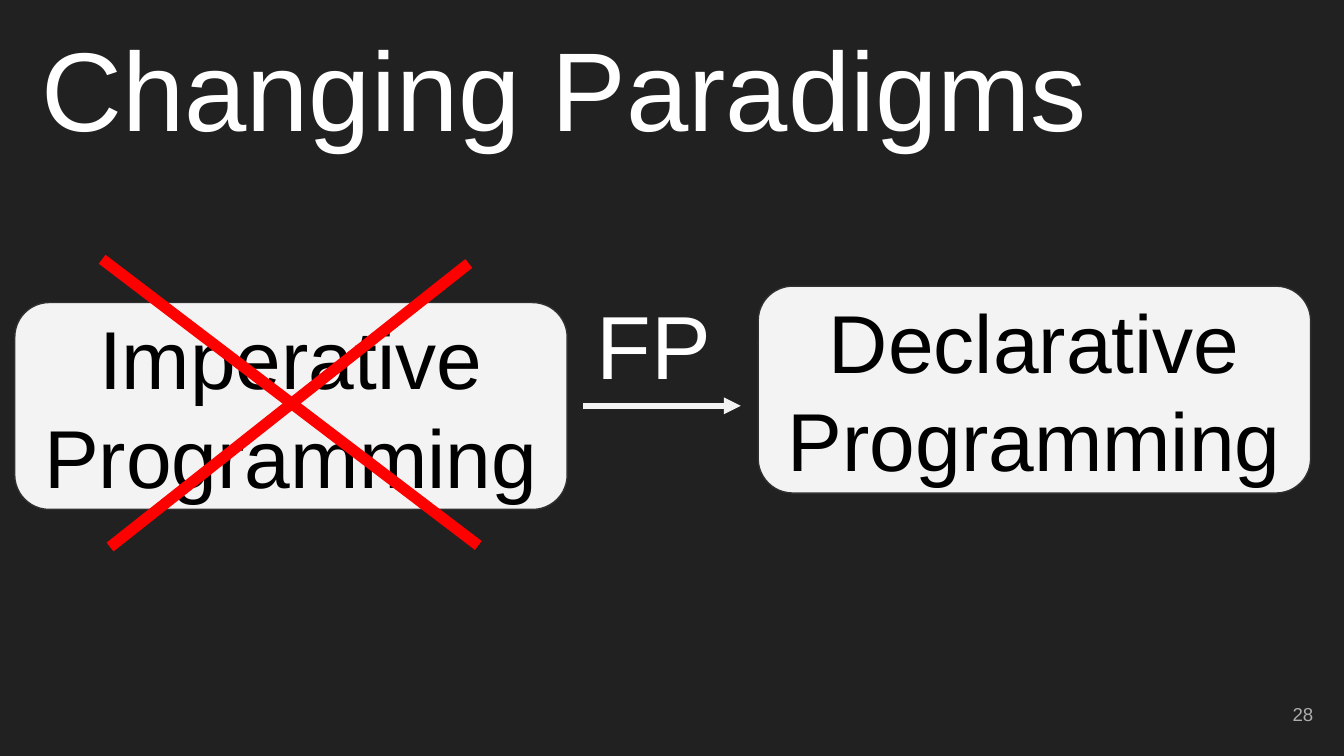
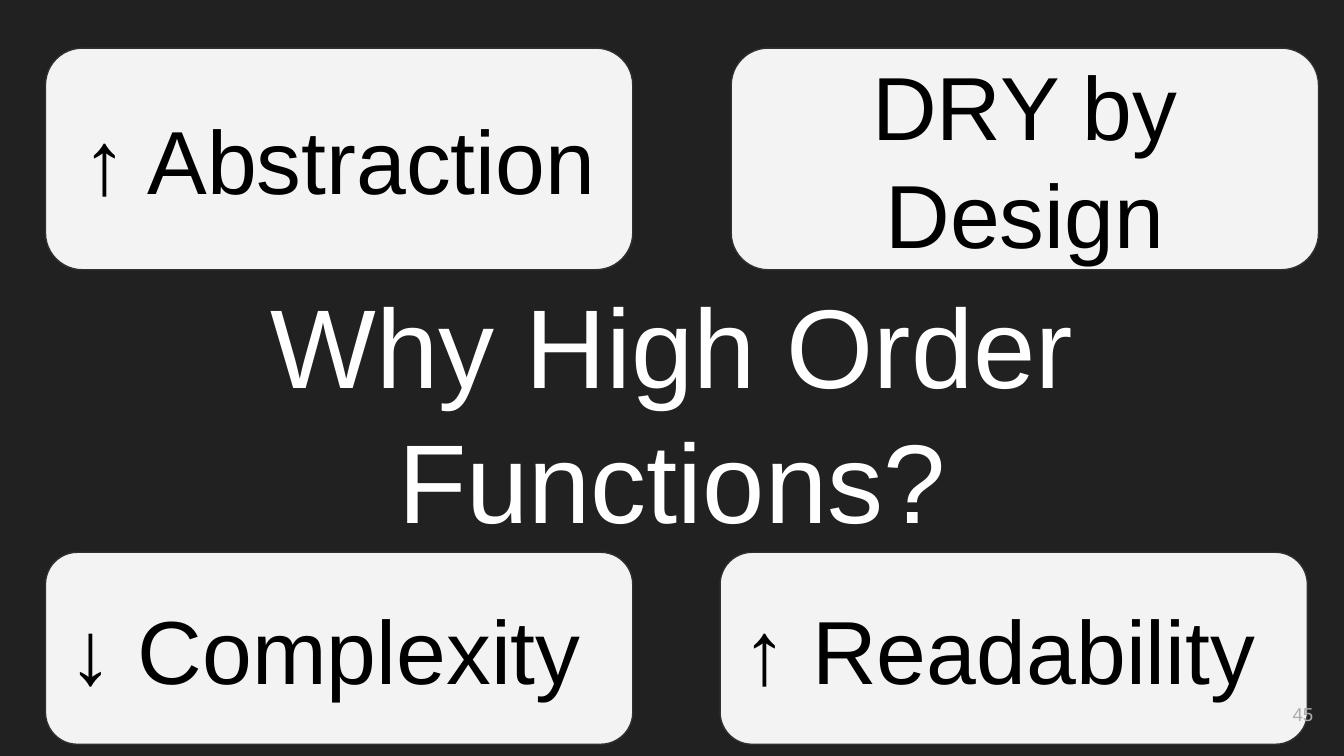
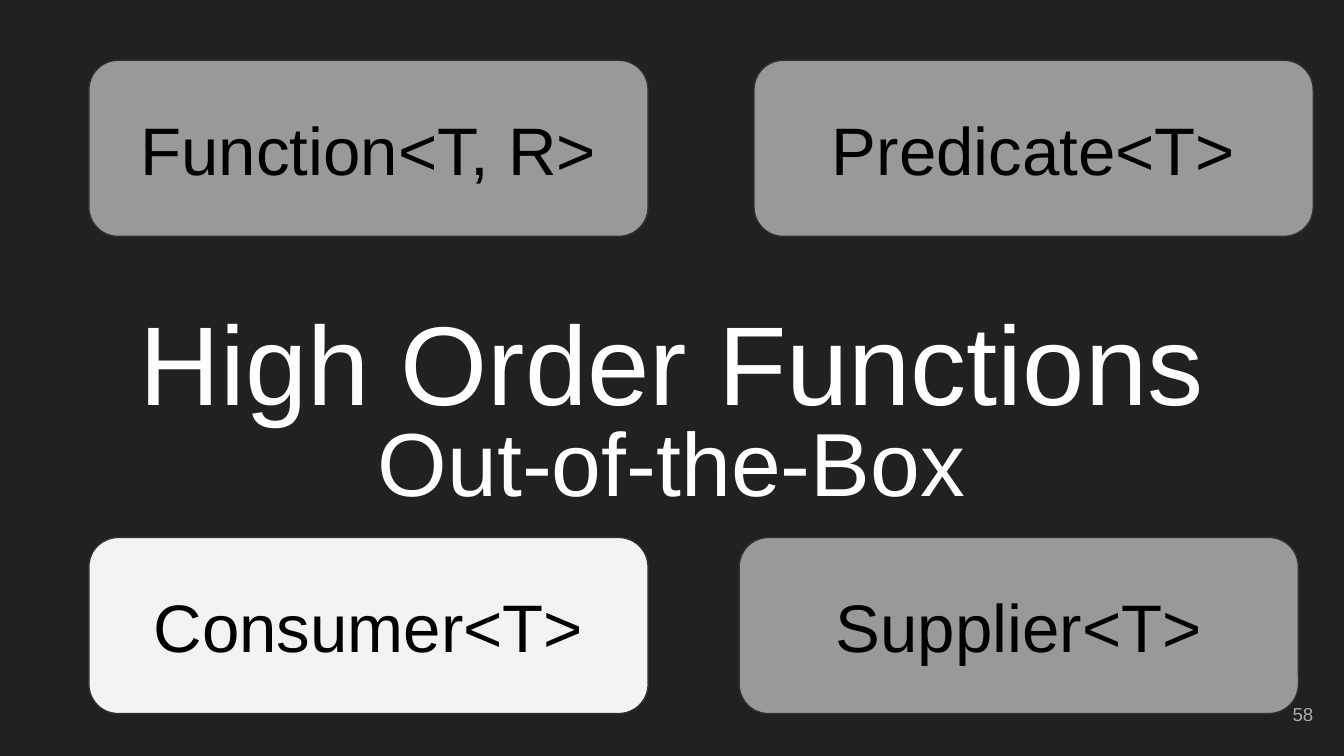
"""Build three dark slides on functional programming."""
from dataclasses import dataclass

from lxml import etree
from pptx import Presentation
from pptx.dml.color import RGBColor
from pptx.enum import shapes, text
from pptx.oxml import ns
from pptx.util import Cm, Pt

MID = text.PP_ALIGN.CENTER
LEFT = text.PP_ALIGN.LEFT
RIGHT = text.PP_ALIGN.RIGHT


@dataclass(frozen=True)
class Theme:
    """Hold the shared colours, font and type sizes."""
    font: str = "Arial"
    back: RGBColor = RGBColor(0x21, 0x21, 0x21)
    white: RGBColor = RGBColor(0xFF, 0xFF, 0xFF)
    black: RGBColor = RGBColor(0, 0, 0)
    light: RGBColor = RGBColor(0xF3, 0xF3, 0xF3)
    dim: RGBColor = RGBColor(0x99, 0x99, 0x99)
    edge: RGBColor = RGBColor(0x30, 0x30, 0x30)
    red: RGBColor = RGBColor(0xFF, 0, 0)
    grey: RGBColor = RGBColor(0xAD, 0xAD, 0xAD)
    head: int = 60
    big: int = 48
    pair: int = 44
    type: int = 36
    foot: int = 10


T = Theme()


def write(shape, words, size, color, align=MID):
    """Put one styled paragraph in a shape, centred in height."""
    frame = shape.text_frame
    frame.text = words
    frame.word_wrap = True
    frame.auto_size = text.MSO_AUTO_SIZE.NONE
    frame.vertical_anchor = text.MSO_ANCHOR.MIDDLE
    frame.margin_left = frame.margin_right = Cm(0.25)
    frame.margin_top = frame.margin_bottom = Cm(0.25)
    para = frame.paragraphs[0]
    para.alignment = align
    para.space_before = Pt(0)
    para.font.name = T.font
    para.font.size = Pt(size)
    para.font.color.rgb = color


def place(shape, x, y, w, h):
    """Move and size a placeholder, in centimetres."""
    shape.left, shape.top, shape.width, shape.height = map(Cm, (x, y, w, h))


def title(slide, words, x, y, w=23.67, align=MID):
    """Fill the title placeholder."""
    place(slide.shapes.title, x, y, w, 2.34)
    write(slide.shapes.title, words, T.head, T.white, align)


def label(slide, words, spot, size, color, align=MID):
    """Add a text box."""
    box = slide.shapes.add_textbox(*map(Cm, spot))
    write(box, words, size, color, align)


def card(slide, words, spot, size, fill=T.light, align=MID):
    """Add a rounded card."""
    kind = shapes.MSO_SHAPE.ROUNDED_RECTANGLE
    box = slide.shapes.add_shape(kind, *map(Cm, spot))
    box.shadow.inherit = False
    box.fill.solid()
    box.fill.fore_color.rgb = fill
    box.line.color.rgb = T.edge
    box.line.width = Pt(0.75)
    write(box, words, size, T.black, align)


def line(slide, ends, color, width, arrow=False):
    """Add a straight line, with an arrowhead if asked."""
    kind = shapes.MSO_CONNECTOR.STRAIGHT
    link = slide.shapes.add_connector(kind, *map(Cm, ends))
    link.line.color.rgb = color
    link.line.width = Pt(width)
    if arrow:
        tip = etree.SubElement(link.line._get_or_add_ln(), ns.qn("a:tailEnd"))
        tip.set("type", "triangle")
    etree.SubElement(link._element.spPr, ns.qn("a:effectLst"))


def number(slide, page):
    """Add the page number."""
    label(slide, str(page), (23.55, 12.95, 1.52, 1.09), T.foot, T.grey, RIGHT)


def shift(slide):
    """Show the change of paradigm."""
    title(slide, "Changing Paradigms", 0.53, 0.46, align=LEFT)
    label(slide, "FP", (8.2, 3.68, 8.33, 5.64), T.big, T.white)
    card(slide, "Imperative Programming", (0.28, 5.72, 10.44, 3.91), T.pair)
    line(slide, (11.02, 7.67, 14, 7.67), T.light, 3, arrow=True)
    for ends in ((1.93, 4.9, 9.04, 10.31), (2.08, 10.34, 8.86, 4.98)):
        line(slide, ends, T.red, 6)
    card(slide, "Declarative Programming", (14.33, 5.41, 10.44, 3.91), T.pair)
    number(slide, 28)


def why(slide):
    """Show the reasons around the question."""
    title(slide, "Why High Order Functions?", 0, 6.6, 25.4)
    rows = (
        (0.91, 4.19, MID, ((0.86, "↑ Abstraction"), (13.82, "DRY by Design"))),
        (10.44, 3.63, LEFT, ((0.86, "↓ Complexity"), (13.61, "↑ Readability"))),
    )
    for y, high, align, cells in rows:
        for x, words in cells:
            card(slide, words, (x, y, 11.1, high), T.big, align=align)
    number(slide, 45)


def kinds(slide):
    """Show the ready-made function types, one lit."""
    title(slide, "High Order Functions", 0.86, 5.64)
    sub = slide.placeholders[1]
    place(sub, 0.86, 7.54, 23.67, 2.34)
    write(sub, "Out-of-the-Box", T.big, T.white)
    cards = (
        ("Function<T, R>", 1.68, 1.14, T.dim),
        ("Predicate<T>", 14.25, 1.14, T.dim),
        ("Consumer<T>", 1.68, 10.16, T.light),
        ("Supplier<T>", 13.97, 10.16, T.dim),
    )
    for words, x, y, fill in cards:
        card(slide, words, (x, y, 10.57, 3.33), T.type, fill)
    number(slide, 58)


def main():
    """Build and save the deck."""
    deck = Presentation()
    deck.slide_width, deck.slide_height = Cm(25.4), Cm(14.29)
    fill = deck.slide_master.background.fill
    fill.solid()
    fill.fore_color.rgb = T.back
    for build, layout in ((shift, 5), (why, 5), (kinds, 0)):
        build(deck.slides.add_slide(deck.slide_layouts[layout]))
    deck.save("out.pptx")


if __name__ == "__main__":
    main()
